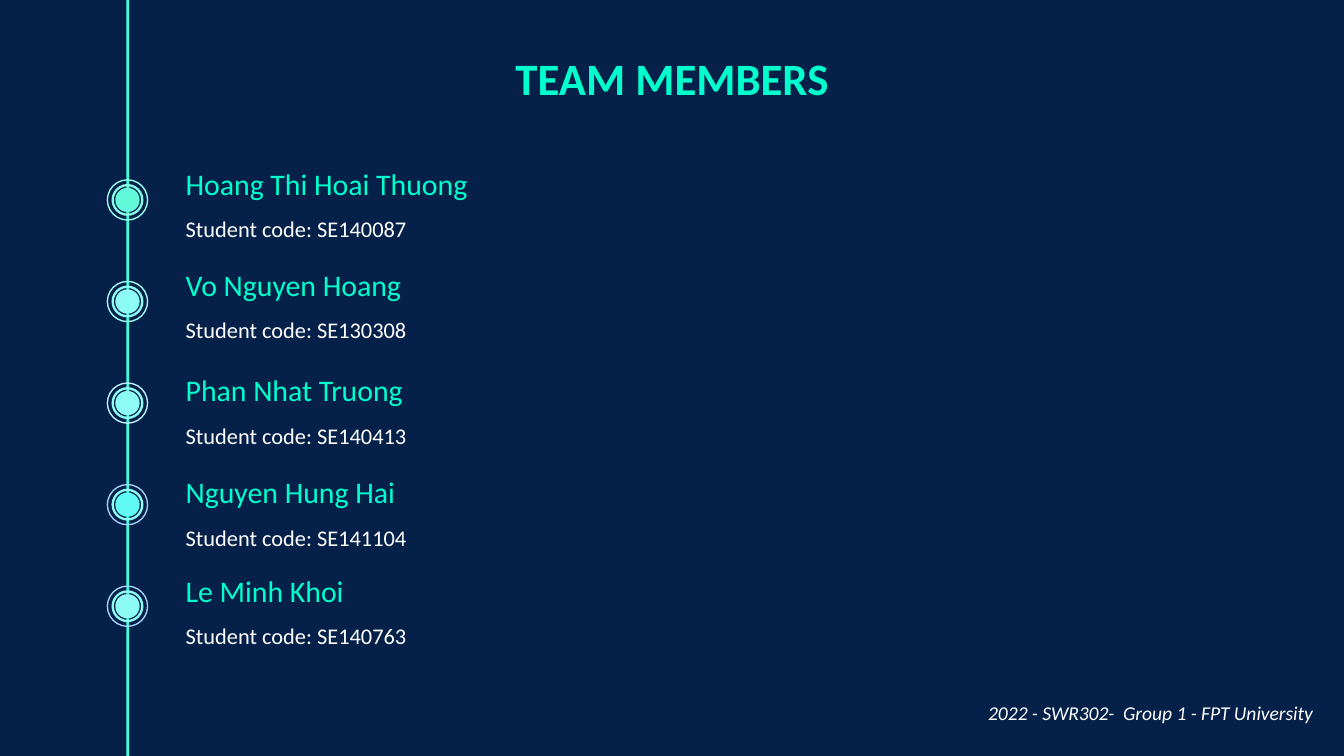
from pptx import Presentation
from pptx.dml.color import RGBColor
from pptx.enum.shapes import MSO_SHAPE
from pptx.enum.text import MSO_ANCHOR, MSO_AUTO_SIZE, PP_ALIGN
from pptx.util import Cm, Pt

HUES = {
    "back": "05214A",
    "name": "00FFCD",
    "text": "FFFFFF",
    "rail": "40FFD9",
    "ring": "8DFCF5",
}
TEAM = [
    ("Hoang Thi Hoai Thuong", "SE140087", 3.2, "62F8DA", "86FAE3", "98FFEA"),
    ("Vo Nguyen Hoang", "SE130308", 5.11, HUES["ring"], HUES["ring"], "A3FEF6"),
    ("Phan Nhat Truong", "SE140413", 7.11, HUES["ring"], HUES["ring"], "BFF1FE"),
    ("Nguyen Hung Hai", "SE141104", 9.04, "61FAF4", HUES["ring"], "A3CFF8"),
    ("Le Minh Khoi", "SE140763", 10.9, HUES["ring"], HUES["ring"], "A3CFF8"),
]
AXIS = 2.41
FIRST = 3.78
STEP = 1.92


def color(hue):
    return RGBColor.from_string(hue)


def style(para, size, hue, space=1.0, align=PP_ALIGN.LEFT, bold=False, slant=False):
    para.alignment = align
    para.line_spacing = space
    for run in para.runs:
        font = run.font
        font.name = "Calibri"
        font.size = Pt(size)
        font.bold = bold
        font.italic = slant
        font.color.rgb = color(hue)


def add_box(slide, left, top, width, height):
    box = slide.shapes.add_textbox(Cm(left), Cm(top), Cm(width), Cm(height))
    box.text_frame.word_wrap = True
    return box.text_frame


def add_title(slide, text):
    title = slide.shapes.title
    title.left, title.top, title.width, title.height = Cm(5.46), Cm(0.71), Cm(14.48), Cm(2.62)
    frame = title.text_frame
    frame.text = text
    frame.auto_size = MSO_AUTO_SIZE.NONE
    frame.vertical_anchor = MSO_ANCHOR.TOP
    frame.margin_top = frame.margin_bottom = Cm(0.25)
    style(frame.paragraphs[0], 24, HUES["name"], align=PP_ALIGN.CENTER, bold=True)


def add_rail(slide):
    rail = slide.shapes.add_shape(MSO_SHAPE.RECTANGLE, Cm(AXIS - 0.02), Cm(-0.38), Cm(0.05), Cm(15.24))
    rail.shadow.inherit = False
    rail.fill.solid()
    rail.fill.fore_color.rgb = color(HUES["rail"])
    rail.line.fill.background()


def add_disc(group, mid, size, hue, weight=None):
    disc = group.shapes.add_shape(
        MSO_SHAPE.OVAL, Cm(AXIS - size / 2), Cm(mid - size / 2), Cm(size), Cm(size)
    )
    disc.shadow.inherit = False
    if weight is None:
        disc.fill.solid()
        disc.fill.fore_color.rgb = color(hue)
        disc.line.fill.background()
    else:
        disc.fill.background()
        disc.line.color.rgb = color(hue)
        disc.line.width = Pt(weight)


def add_mark(slide, mid, dot, ring, halo):
    group = slide.shapes.add_group_shape()
    add_disc(group, mid, 0.46, dot)
    add_disc(group, mid, 0.56, ring, 1.25)
    add_disc(group, mid, 0.76, halo, 0)


def add_member(slide, name, code, top):
    frame = add_box(slide, 3.51, top, 9.25, 1.19)
    frame.margin_left = frame.margin_right = frame.margin_top = frame.margin_bottom = 0
    frame.text = f"{name}\nStudent code: {code}"
    head, line = frame.paragraphs
    style(head, 16, HUES["name"], 0.9)
    style(line, 12, HUES["text"], 1.5)


def add_foot(slide, text):
    frame = add_box(slide, 15.32, 12.52, 9.75, 1.42)
    frame.vertical_anchor = MSO_ANCHOR.BOTTOM
    frame.margin_bottom = Cm(0.25)
    frame.text = text
    style(frame.paragraphs[0], 10.5, HUES["text"], 1.3, PP_ALIGN.RIGHT, slant=True)


def main():
    deck = Presentation()
    deck.slide_width, deck.slide_height = Cm(25.4), Cm(14.29)
    slide = deck.slides.add_slide(deck.slide_layouts[5])
    slide.background.fill.solid()
    slide.background.fill.fore_color.rgb = color(HUES["back"])
    add_foot(slide, "2022 - SWR302-  Group 1 - FPT University")
    add_title(slide, "TEAM MEMBERS")
    add_rail(slide)
    for i, (name, code, top, dot, ring, halo) in enumerate(TEAM):
        add_mark(slide, FIRST + i * STEP, dot, ring, halo)
        add_member(slide, name, code, top)
    deck.save("out.pptx")


if __name__ == "__main__":
    main()
